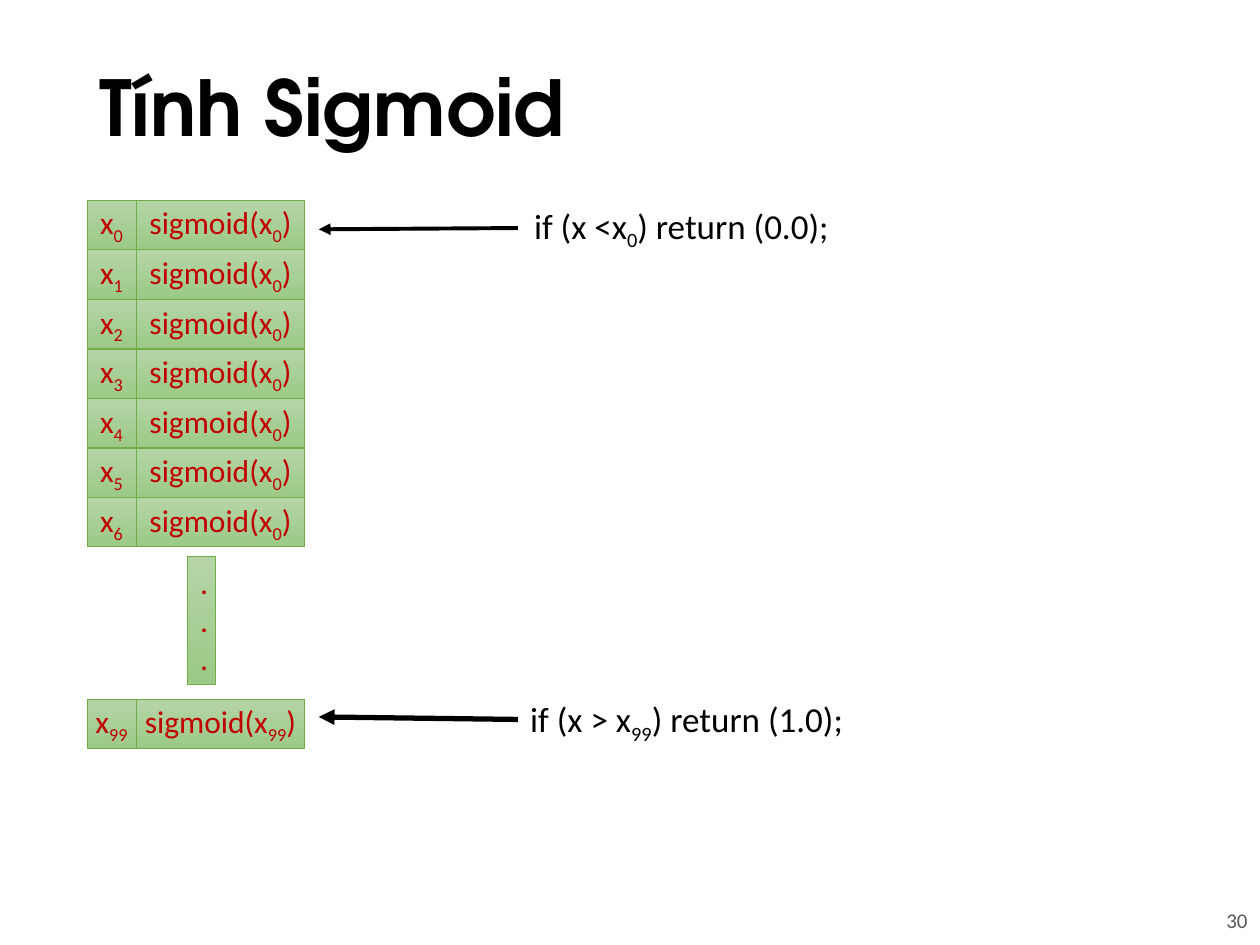
from dataclasses import dataclass

from lxml.etree import SubElement
from pptx import Presentation
from pptx.dml.color import RGBColor
from pptx.enum.shapes import MSO_CONNECTOR, MSO_SHAPE
from pptx.enum.text import MSO_ANCHOR, MSO_AUTO_SIZE, PP_ALIGN
from pptx.oxml.ns import qn
from pptx.util import Inches, Pt


@dataclass(frozen=True)
class Theme:
    head: str = "TeX Gyre Adventor"
    body: str = "Calibri"
    ink: str = "000000"
    grey: str = "595959"
    red: str = "C00000"
    edge: str = "70AD47"
    light: str = "B5D5A7"
    deep: str = "9CC987"
    title: int = 44
    note: int = 20
    cell: int = 18
    small: int = 12


class Deck:
    def __init__(self, theme):
        self.theme = theme
        self.show = Presentation()
        self.show.slide_width = Inches(10)
        self.show.slide_height = Inches(7.5)
        self.slide = self.show.slides.add_slide(self.show.slide_layouts[5])

    def label(self, frame, lines, size, color, align=PP_ALIGN.LEFT,
              anchor=MSO_ANCHOR.TOP, wrap=True, face=None, bold=False):
        frame.auto_size = MSO_AUTO_SIZE.NONE
        frame.word_wrap = wrap
        frame.vertical_anchor = anchor
        for i, line in enumerate(lines):
            para = frame.add_paragraph() if i else frame.paragraphs[0]
            para.alignment = align
            for j, part in enumerate(line.split("~")):
                if part:
                    run = para.add_run()
                    run.text = part
                    if j % 2:
                        run._r.get_or_add_rPr().set("baseline", "-25000")
            font = para.font
            font.name = face or self.theme.body
            font.size = Pt(size)
            font.bold = bold
            font.color.rgb = RGBColor.from_string(color)

    def title(self, text, *box):
        shape = self.slide.shapes.title
        shape.left, shape.top, shape.width, shape.height = map(Inches, box)
        self.label(shape.text_frame, [text], self.theme.title, self.theme.ink,
                   anchor=MSO_ANCHOR.MIDDLE, face=self.theme.head, bold=True)
        shape.text_frame.paragraphs[0].line_spacing = 0.9

    def text(self, text, box, size, color, **style):
        shape = self.slide.shapes.add_textbox(*map(Inches, box))
        self.label(shape.text_frame, [text], size, color, **style)

    def cell(self, lines, box, home=None, **style):
        shapes = (home or self.slide).shapes
        shape = shapes.add_shape(MSO_SHAPE.RECTANGLE, *map(Inches, box))
        shape.shadow.inherit = False
        shape.fill.gradient()
        shape.fill.gradient_angle = 270
        tones = self.theme.light, self.theme.deep
        for stop, tone in zip(shape.fill.gradient_stops, tones):
            stop.color.rgb = RGBColor.from_string(tone)
        shape.line.color.rgb = RGBColor.from_string(self.theme.edge)
        shape.line.width = Pt(0.5)
        self.label(shape.text_frame, lines, self.theme.cell, self.theme.red, **style)

    def row(self, key, arg, top):
        group = self.slide.shapes.add_group_shape()
        style = dict(home=group, align=PP_ALIGN.CENTER,
                     anchor=MSO_ANCHOR.MIDDLE, wrap=False)
        self.cell([f"sigmoid(x~{arg}~)"], (1.08, top, 1.34, 0.39), **style)
        self.cell([f"x~{key}~"], (0.69, top, 0.39, 0.39), **style)

    def arrow(self, start, end, width):
        line = self.slide.shapes.add_connector(
            MSO_CONNECTOR.STRAIGHT, *map(Inches, start + end))
        line.line.color.rgb = RGBColor.from_string(self.theme.ink)
        line.line.width = Pt(width)
        SubElement(line.line._get_or_add_ln(), qn("a:tailEnd"), type="triangle")
        SubElement(line._element.spPr, qn("a:effectLst"))


def main():
    theme = Theme()
    deck = Deck(theme)
    deck.title("Tính Sigmoid", 0.69, 0.4, 8.62, 0.97)
    deck.text("30", (8.78, 7.1, 1.22, 0.4), theme.small, theme.grey,
              align=PP_ALIGN.RIGHT, anchor=MSO_ANCHOR.MIDDLE)

    first, last, count = 1.59, 3.95, 7
    step = (last - first) / (count - 1)
    for i in range(count):
        deck.row(i, 0, first + i * step)
    deck.row(99, 99, 5.55)
    deck.cell(["."] * 3, (1.49, 4.42, 0.22, 1.01))

    deck.text("if (x > x~99~) return (1.0);", (4.11, 5.49, 2.83, 0.44),
              theme.note, theme.ink, wrap=False)
    deck.text("if (x <x~0~) return (0.0);", (4.14, 1.57, 2.75, 0.44),
              theme.note, theme.ink)
    deck.arrow((4.11, 1.81), (2.53, 1.82), 2.25)
    deck.arrow((4.11, 5.71), (2.53, 5.69), 3)
    deck.show.save("out.pptx")


if __name__ == "__main__":
    main()
